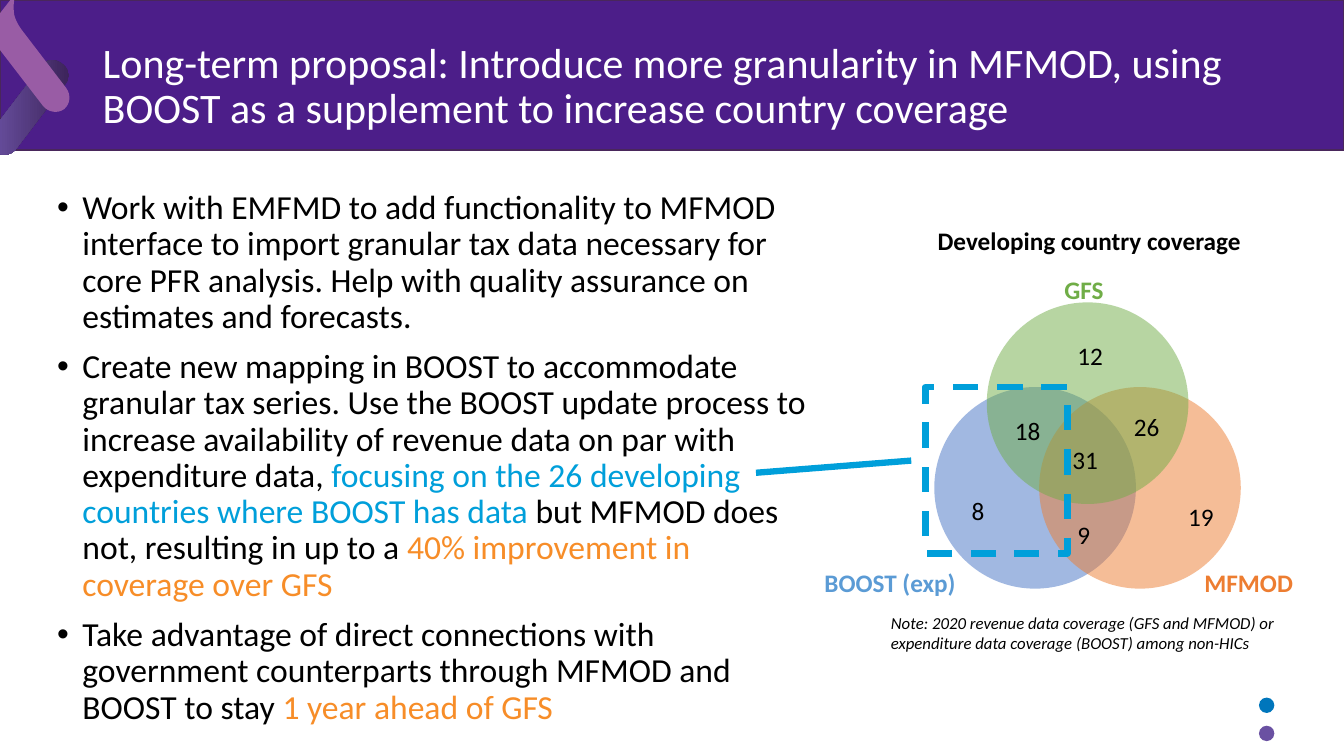
from lxml import etree
from pptx import Presentation
from pptx import util as u
from pptx.dml import color
from pptx.enum import dml, shapes, text
from pptx.oxml import ns

Pt = u.Pt


def rgb(code):
    return color.RGBColor.from_string(code)


def write(para, words, size, code="000000", bold=False, italic=False):
    run = para.add_run()
    run.text = words
    font = run.font
    font.name, font.size = "Calibri", Pt(size)
    font.bold, font.italic = bold, italic
    font.color.rgb = rgb(code)


deck = Presentation()
deck.slide_width, deck.slide_height = Pt(960), Pt(540)
slide = deck.slides.add_slide(deck.slide_layouts[5])
items = slide.shapes

band = items.add_shape(shapes.MSO_SHAPE.RECTANGLE, 0, 0, Pt(960), Pt(107.3))
band.shadow.inherit = False
band.fill.solid()
band.fill.fore_color.rgb = rgb("4C1E89")
band.line.color.rgb = rgb("49275B")
band.line.width = Pt(1)

lower = [
    [(10.8, 107.3)], [(47.5, 59)], [(50.4, 55.4), (49.7, 49.7), (45.4, 46.8)],
    [(43.2, 44.6)], [(39.6, 41.8), (33.8, 42.5), (30.2, 46.1)],
    [(-6.5, 94.3)], [(-9.4, 97.9), (-8.6, 103.7), (-4.3, 107.3)],
    [(-2.2, 108.7)], [(2.2, 111.6), (7.9, 110.9), (10.8, 107.3)],
]
upper = [
    [(25.9, 52.6)], [(-5, 12.2)], [(-8.6, 7.2), (-7.9, 0.7), (-3.6, -2.9)],
    [(1.4, -6.5), (7.9, -5), (11.5, -0.7)],
    [(47.5, 46.1)], [(49.7, 49), (50.4, 54), (48.2, 57.6)],
    [(47.5, 59), (31, 79.9), (31, 79.9)],
    [(31, 79.9), (33.1, 73.4), (32.4, 67)],
    [(32.4, 60.5), (25.9, 52.6), (25.9, 52.6)],
]
arms = []
for route in (lower, upper):
    dots = []
    for step in route:
        if len(step) == 1:
            dots += step
            continue
        curve = [dots[-1]] + step
        for n in range(1, 9):
            t = n / 8
            parts = ((1 - t) ** 3, 3 * t * (1 - t) ** 2, 3 * t * t * (1 - t), t ** 3)
            dots.append(tuple(sum(k * p[i] for k, p in zip(parts, curve)) for i in (0, 1)))
    dots = [(Pt(x), Pt(y)) for x, y in dots]
    pen = items.build_freeform(*dots[0])
    pen.add_line_segments(dots[1:], close=True)
    arm = pen.convert_to_shape()
    arm.rotation = 180
    arm.shadow.inherit = False
    arm.line.fill.background()
    arms.append(arm)

arms[0].fill.gradient()
arms[0].fill.gradient_angle = 0
for stop, code in zip(arms[0].fill.gradient_stops, ("3D245B", "6A51A2")):
    stop.color.rgb = rgb(code)
arms[1].fill.solid()
arms[1].fill.fore_color.rgb = rgb("995CA5")

title = items.title
title.left, title.top, title.width, title.height = Pt(66.2), Pt(17.3), Pt(828), Pt(90)
band.element.getparent().append(title.element)
frame = title.text_frame
frame.word_wrap = True
frame.auto_size = text.MSO_AUTO_SIZE.NONE
frame.vertical_anchor = text.MSO_ANCHOR.MIDDLE
head = frame.paragraphs[0]
head.alignment = text.PP_ALIGN.LEFT
head.line_spacing = 0.9
write(head, "Long-term proposal: Introduce more granularity in MFMOD, using BOOST as a supplement to increase country coverage", 30, "FFFFFF")

black, blue, gold = "000000", "009FDA", "F78D28"
points = [
    [("Work with EMFMD to add functionality to MFMOD interface to import granular tax data necessary for core PFR analysis. Help with quality assurance on estimates and forecasts.", black)],
    [("Create new mapping in BOOST to accommodate granular tax series. Use the BOOST update process to increase availability of revenue data on par with expenditure data, ", black),
     ("focusing on the 26 developing countries where BOOST has data", blue),
     (" but MFMOD does not, resulting in up to a ", black),
     ("40% improvement in coverage over GFS", gold)],
    [("Take advantage of direct connections with government counterparts through MFMOD and BOOST to stay ", black),
     ("1 year ahead of GFS", gold)],
]
body = items.add_textbox(Pt(33.8), Pt(132.5), Pt(553.7), Pt(401)).text_frame
body.word_wrap = True
for n, point in enumerate(points):
    para = body.add_paragraph() if n else body.paragraphs[0]
    props = para._p.get_or_add_pPr()
    props.set("marL", str(Pt(18)))
    props.set("indent", str(-Pt(18)))
    etree.SubElement(props, ns.qn("a:buFont")).set("typeface", "Arial")
    etree.SubElement(props, ns.qn("a:buChar")).set("char", "•")
    para.line_spacing = 0.9
    para.space_before = Pt(10 if n else 0)
    for words, code in point:
        write(para, words, 24, code)

discs = [
    (667.4, 276.5, 144, "4472C4", 50), (742.3, 276.5, 144, "ED7D31", 50),
    (704.9, 216, 144, "70AD47", 50),
    (899.3, 498.3, 11, "0076BC", 100), (899.3, 518.4, 11, "6A51A2", 100),
]
for x, y, size, code, solid in discs:
    disc = items.add_shape(shapes.MSO_SHAPE.OVAL, Pt(x), Pt(y), Pt(size), Pt(size))
    disc.shadow.inherit = False
    disc.line.fill.background()
    disc.fill.solid()
    disc.fill.fore_color.rgb = rgb(code)
    if solid < 100:
        tint = disc.element.spPr.find(".//" + ns.qn("a:srgbClr"))
        etree.SubElement(tint, ns.qn("a:alpha")).set("val", str(solid * 1000))

bold, plain, slant = (18, True, False), (18, False, False), (12, False, True)
labels = [
    ("Developing country coverage", 622.1, 157.7, 311.8, black, bold),
    ("GFS", 753.1, 192.2, 118.8, "70AD47", bold),
    ("BOOST (exp)", 581.8, 401.8, 144.7, "5B9BD5", bold),
    ("MFMOD", 853.2, 401.8, 114.5, "ED7D31", bold),
    ("12", 762.5, 239.8, 46.8, black, plain),
    ("19", 841.7, 354.2, 44, black, plain),
    ("8", 686.9, 350.6, 44, black, plain),
    ("9", 762.5, 367.2, 44, black, plain),
    ("18", 717.8, 293, 44, black, plain),
    ("26", 802.8, 290.2, 44, black, plain),
    ("31", 758.9, 313.9, 44, black, plain),
    ("Note: 2020 revenue data coverage (GFS and MFMOD) or expenditure data coverage (BOOST) among non-HICs", 629.3, 434.2, 289.4, black, slant),
]
for words, x, y, width, code, style in labels:
    label = items.add_textbox(Pt(x), Pt(y), Pt(width), Pt(51 if style == slant else 29)).text_frame
    label.word_wrap = True
    if width > 300:
        label.paragraphs[0].alignment = text.PP_ALIGN.CENTER
    write(label.paragraphs[0], words, style[0], code, *style[1:])

focus = items.add_shape(shapes.MSO_SHAPE.RECTANGLE, Pt(661), Pt(276.5), Pt(101.5), Pt(118.8))
focus.shadow.inherit = False
focus.fill.background()
focus.line.dash_style = dml.MSO_LINE.DASH

link = items.add_connector(shapes.MSO_CONNECTOR.STRAIGHT, Pt(540), Pt(337.7), Pt(650.9), Pt(329))
etree.SubElement(link._element.spPr, ns.qn("a:effectLst"))
for mark in (focus, link):
    mark.line.color.rgb = rgb(blue)
    mark.line.width = Pt(4.5)

deck.save("out.pptx")
